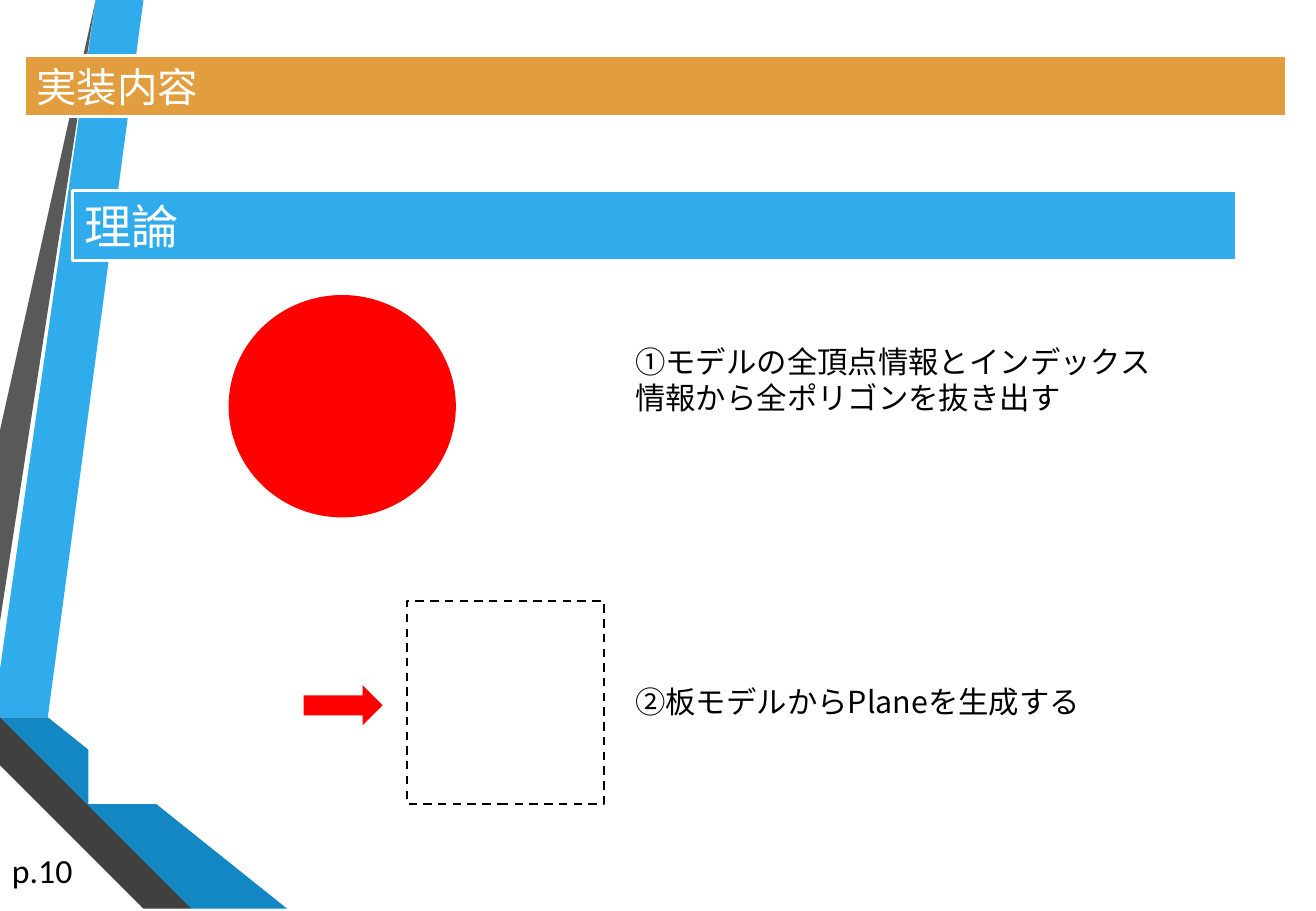
"""Build the theory slide: ribbons, heading bars and two explained steps."""
from lxml import etree
from pptx import Presentation
from pptx.dml.color import RGBColor
from pptx.enum.dml import MSO_LINE
from pptx.enum.shapes import MSO_SHAPE
from pptx.enum.text import MSO_ANCHOR, MSO_AUTO_SIZE, PP_ALIGN
from pptx.oxml.ns import qn
from pptx.util import Cm, Pt

RECTANGLE, OVAL, ARROW = MSO_SHAPE.RECTANGLE, MSO_SHAPE.OVAL, MSO_SHAPE.RIGHT_ARROW
DASH = MSO_LINE.DASH
MIDDLE, TOP = MSO_ANCHOR.MIDDLE, MSO_ANCHOR.TOP
LEFT = PP_ALIGN.LEFT
NO_AUTOFIT = MSO_AUTO_SIZE.NONE

WHITE = RGBColor(0xFF, 0xFF, 0xFF)
BLACK = RGBColor(0x00, 0x00, 0x00)
RED = RGBColor(0xFF, 0x00, 0x00)
ORANGE = RGBColor(0xE2, 0x9D, 0x3E)
BLUE = RGBColor(0x30, 0xAC, 0xEC)
MID_BLUE = RGBColor(0x12, 0x87, 0xC3)
DEEP_BLUE = RGBColor(0x0C, 0x5A, 0x82)
GREY = RGBColor(0x59, 0x59, 0x59)
DARK_GREY = RGBColor(0x40, 0x40, 0x40)
NEAR_BLACK = RGBColor(0x26, 0x26, 0x26)

JAPANESE_FONT = "Noto Sans CJK JP"
LATIN_FONT = "Calibri"
WIDTH, HEIGHT = 27.51, 19.05
STEP_LEFT, STEP_WIDTH = 13.03, 11.35
PANEL_TOP, PANEL_WIDTH, PANEL_HEIGHT = 12.57, 4.11, 4.24

RIBBONS = [
    (BLUE, [(0, 13.82), (0, 14.61), (0.61, 14.71), (3.23, 0), (2.46, 0)]),
    (GREY, [(2.29, 0), (1.52, 0), (0, 8.53), (0, 12.85)]),
    (NEAR_BLACK, [(0, 15.72), (0, 15.77), (2.57, HEIGHT), (2.72, HEIGHT)]),
    (DEEP_BLUE, [(0, 14.71), (0, 14.73), (4.29, HEIGHT), (4.47, HEIGHT)]),
    (MID_BLUE, [(0, 14.71), (4.47, HEIGHT), (6.43, HEIGHT), (0.61, 14.71), (0, 14.61)]),
    (DARK_GREY, [(0, 15.72), (2.72, HEIGHT), (4.14, HEIGHT), (0, 14.88)]),
]


def set_attributes(target, values):
    """Set each attribute of target from a dict of format values."""
    for attribute, value in values.items():
        setattr(target, attribute, value)


def place(shape, box):
    """Move and size a shape to a box given in centimetres."""
    sides = ("left", "top", "width", "height")
    set_attributes(shape, dict(zip(sides, map(Cm, box))))


def paint(shape, fill, line=None, line_width=0, dash=None):
    """Give a shape its fill and its outline, if it has one."""
    shape.fill.solid()
    shape.fill.fore_color.rgb = fill
    if line is None:
        shape.line.fill.background()
        return
    shape.line.color.rgb = line
    set_attributes(shape.line, {"width": Pt(line_width), "dash_style": dash})


def write(shape, text, size, color, font_name=JAPANESE_FONT, anchor=TOP):
    """Write one left-aligned paragraph into a shape."""
    frame = shape.text_frame
    set_attributes(frame, {
        "word_wrap": True, "auto_size": NO_AUTOFIT, "vertical_anchor": anchor,
        "margin_left": Cm(0.25), "margin_right": Cm(0.25),
        "margin_top": Cm(0.13), "margin_bottom": Cm(0.13),
    })
    paragraph = frame.paragraphs[0]
    paragraph.alignment = LEFT
    run = paragraph.add_run()
    run.text = text
    set_attributes(run.font, {"size": Pt(size), "name": font_name, "bold": False})
    run.font.color.rgb = color
    east_asian = etree.SubElement(run.font._element, qn("a:ea"))
    east_asian.set("typeface", font_name)


def add_ribbon(slide, color, points):
    """Add one closed ribbon outline from points in centimetres."""
    builder = slide.shapes.build_freeform(*points[0], scale=Cm(1))
    builder.add_line_segments(points[1:], close=True)
    ribbon = builder.convert_to_shape()
    ribbon.shadow.inherit = False
    paint(ribbon, color)


def add_figure(slide, kind, box, fill, **outline):
    """Add a preset shape and return it."""
    figure = slide.shapes.add_shape(kind, *map(Cm, box))
    figure.shadow.inherit = False
    paint(figure, fill, **outline)
    return figure


def add_label(slide, box, text, size, font_name=JAPANESE_FONT):
    """Add a wrapping text box."""
    label = slide.shapes.add_textbox(*map(Cm, box))
    write(label, text, size, BLACK, font_name)


def add_title(slide, box, text):
    """Turn the title placeholder into the orange bar above the ribbons."""
    title = slide.shapes.title
    slide.shapes.element.append(title.element)
    place(title, box)
    paint(title, ORANGE, line=WHITE, line_width=1.75)
    write(title, text, 24, WHITE, anchor=MIDDLE)


def main():
    """Build and save the slide."""
    deck = Presentation()
    set_attributes(deck, {"slide_width": Cm(WIDTH), "slide_height": Cm(HEIGHT)})
    slide = deck.slides.add_slide(deck.slide_layouts.get_by_name("Title Only"))

    for color, points in RIBBONS:
        add_ribbon(slide, color, points)

    add_title(slide, (0.51, 1.17, 26.39, 1.27), "実装内容")
    theory_bar = add_figure(slide, RECTANGLE, (1.52, 3.99, 24.33, 1.45), BLUE,
                            line=WHITE, line_width=1.75)
    write(theory_bar, "理論", 28, WHITE, anchor=MIDDLE)

    add_figure(slide, OVAL, (4.78, 6.17, 4.75, 4.65), RED)
    add_label(slide, (STEP_LEFT, 7.04, STEP_WIDTH, 1.8),
              "①モデルの全頂点情報とインデックス情報から全ポリゴンを抜き出す", 18)

    add_figure(slide, RECTANGLE, (1.85, PANEL_TOP, PANEL_WIDTH, PANEL_HEIGHT), WHITE)
    add_figure(slide, RECTANGLE, (8.51, PANEL_TOP, PANEL_WIDTH, PANEL_HEIGHT), WHITE,
               line=BLACK, line_width=1.25, dash=DASH)
    add_figure(slide, ARROW, (6.35, 14.33, 1.65, 0.84), RED)
    add_label(slide, (STEP_LEFT, 14.15, STEP_WIDTH, 1.02),
              "②板モデルからPlaneを生成する", 18)

    add_label(slide, (0, 17.65, 1.83, 1.12), "p.10", 20, LATIN_FONT)
    deck.save("out.pptx")


if __name__ == "__main__":
    main()
